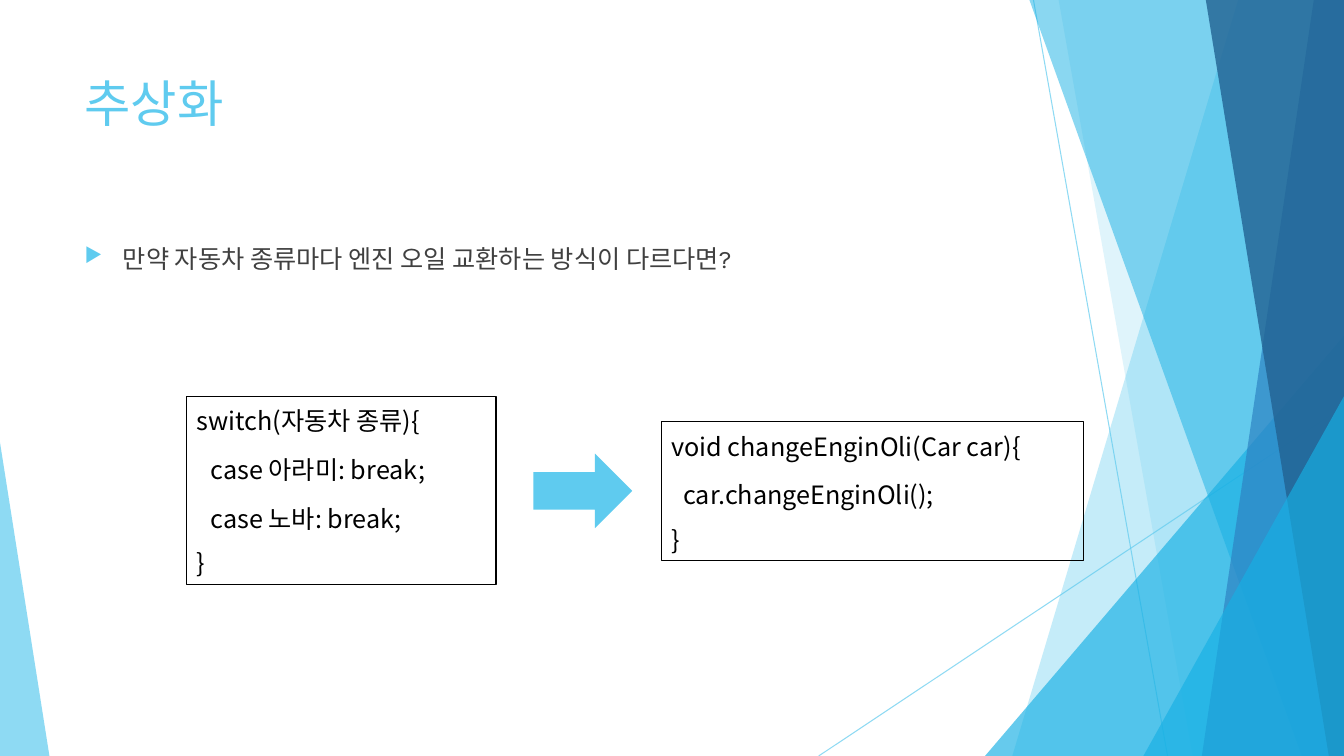
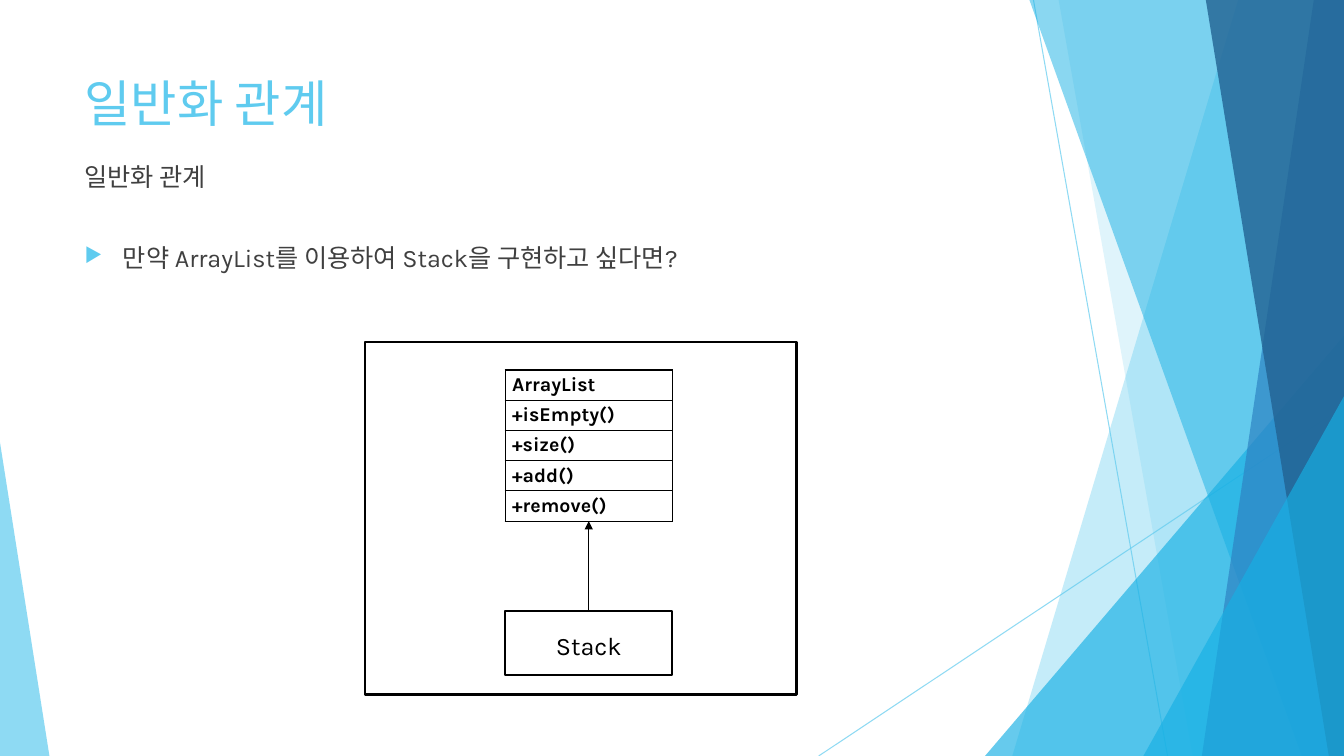
from dataclasses import dataclass

from lxml import etree
from pptx import Presentation
from pptx.dml.color import RGBColor
from pptx.enum import shapes, text
from pptx.oxml import ns
from pptx import util as u

PX = 9144
WIDTH, HEIGHT = 1333, 750
SHAPE = shapes.MSO_SHAPE
ALIGN = text.PP_ALIGN
ANCHOR = text.MSO_ANCHOR


@dataclass(frozen=True)
class Theme:
    sky: str = "5FCBEF"
    cyan: str = "17B0E4"
    blue: str = "2E83C3"
    navy: str = "226292"
    body_ink: str = "404040"
    black: str = "000000"
    white: str = "FFFFFF"
    font: str = "Karla"
    code_font: str = "Noto Sans CJK KR"
    title_size: int = 36
    body_size: int = 18
    table_size: int = 14


THEME = Theme()


def px(*lengths):
    return [u.Emu(length * PX) for length in lengths]


def add_xml(parent, tag, **attributes):
    return etree.SubElement(parent, ns.qn(tag), attributes)


class Deck:
    def __init__(self, theme):
        self.theme = theme
        self.show = Presentation()
        self.show.slide_width, self.show.slide_height = px(WIDTH, HEIGHT)
        self.slide = None

    def new_slide(self, title):
        self.slide = self.show.slides.add_slide(self.show.slide_layouts[6])
        self.backdrop()
        self.label(title, 67, 76, self.theme.title_size, self.theme.sky)

    def backdrop(self):
        t = self.theme
        self.line((1025, 0), (1158, HEIGHT), t.sky, 0.75, alpha=70)
        self.line((WIDTH, 403), (812, HEIGHT), t.sky, 0.75, alpha=70)
        self.facet(1228, 1004, t.sky, 36)
        self.facet(1050, 1183, t.sky, 20)
        self.corner(977, 333, 356, 1, t.cyan, 66)
        self.facet(1021, 1291, t.cyan, 50)
        self.facet(1303, 1192, t.blue, 70)
        self.facet(1196, 1318, t.navy, 80)
        self.corner(1134, 393, 199, 1, t.cyan, 66)
        self.corner(0, 439, 49, 0, t.sky, 70)

    def paint(self, shape, fill=None, border=None, alpha=None):
        shape.shadow.inherit = False
        if fill:
            shape.fill.solid()
            shape.fill.fore_color.rgb = RGBColor.from_string(fill)
            self.fade(shape.fill, alpha)
        else:
            shape.fill.background()
        if border:
            shape.line.color.rgb = RGBColor.from_string(self.theme.black)
            shape.line.width = u.Pt(border)
        else:
            shape.line.fill.background()
        return shape

    def fade(self, fill, alpha):
        if alpha:
            color = fill._xPr.find(".//" + ns.qn("a:srgbClr"))
            add_xml(color, "a:alpha", val=str(alpha * 1000))

    def facet(self, top_x, bottom_x, color, alpha):
        outline = self.slide.shapes.build_freeform(top_x, 0, scale=PX)
        outline.add_line_segments([(WIDTH, 0), (WIDTH, HEIGHT), (bottom_x, HEIGHT)])
        self.paint(outline.convert_to_shape(), color, alpha=alpha)

    def corner(self, left, top, width, peak, color, alpha):
        triangle = self.preset(SHAPE.ISOSCELES_TRIANGLE, left, top, width,
                               HEIGHT - top, color, alpha=alpha)
        triangle.adjustments[0] = peak

    def preset(self, kind, left, top, width, height, fill=None, border=None, alpha=None):
        shape = self.slide.shapes.add_shape(kind, *px(left, top, width, height))
        return self.paint(shape, fill, border, alpha)

    def line(self, start, end, color, weight, alpha=None, arrow=False):
        connector = self.slide.shapes.add_connector(
            shapes.MSO_CONNECTOR.STRAIGHT, *px(*start, *end))
        connector.line.color.rgb = RGBColor.from_string(color)
        connector.line.width = u.Pt(weight)
        self.fade(connector.line.fill, alpha)
        if arrow:
            add_xml(connector.line._ln, "a:tailEnd", type="triangle")
        add_xml(connector._element.spPr, "a:effectLst")
        return connector

    def style(self, paragraph, size, color, font=None, bold=None):
        paragraph.font.size = u.Pt(size)
        paragraph.font.name = font or self.theme.font
        paragraph.font.color.rgb = RGBColor.from_string(color)
        paragraph.font.bold = bold

    def label(self, words, top, height, size, color, bullet=False):
        box = self.slide.shapes.add_textbox(*px(74, top, 940, height))
        box.text_frame.word_wrap = True
        paragraph = box.text_frame.paragraphs[0]
        paragraph.text = words
        if bullet:
            self.bullet(paragraph)
        self.style(paragraph, size, color)
        return paragraph

    def bullet(self, paragraph):
        properties = paragraph._p.get_or_add_pPr()
        properties.set("marL", str(38 * PX))
        properties.set("indent", str(-38 * PX))
        add_xml(add_xml(properties, "a:buClr"), "a:srgbClr", val=self.theme.sky)
        add_xml(properties, "a:buSzPct", val="80000")
        add_xml(properties, "a:buChar", char="▶")

    def body(self, words, top, height, bullet=False):
        paragraph = self.label(words, top, height, self.theme.body_size,
                               self.theme.body_ink, bullet)
        paragraph.space_before = u.Pt(10)

    def code(self, lines, left, top, width, height, indent):
        box = self.preset(SHAPE.RECTANGLE, left, top, width, height, border=0.75)
        frame = box.text_frame
        frame.word_wrap = True
        frame.vertical_anchor = ANCHOR.TOP
        frame.auto_size = text.MSO_AUTO_SIZE.SHAPE_TO_FIT_TEXT
        frame.text = "\n".join(lines)
        *statements, closing = frame.paragraphs
        for paragraph in statements:
            paragraph.alignment = ALIGN.JUSTIFY
            paragraph.line_spacing = 1.15
            paragraph.space_after = u.Pt(10)
        closing.alignment = ALIGN.LEFT
        for paragraph in statements[1:]:
            paragraph._p.get_or_add_pPr().set("indent", str(indent * PX))
        for paragraph in frame.paragraphs:
            self.style(paragraph, self.theme.body_size, self.theme.black,
                       self.theme.code_font)

    def class_box(self, name, left, top, width, height):
        box = self.preset(SHAPE.RECTANGLE, left, top, width, height,
                          self.theme.white, 1.5)
        box.text_frame.vertical_anchor = ANCHOR.MIDDLE
        paragraph = box.text_frame.paragraphs[0]
        paragraph.text = name
        paragraph.alignment = ALIGN.CENTER
        paragraph.line_spacing = 1.15
        self.style(paragraph, self.theme.body_size, self.theme.black)
        return box

    def class_table(self, members, left, top, width, row_height):
        frame = self.slide.shapes.add_table(
            len(members), 1, *px(left, top, width, row_height * len(members)))
        table = frame.table
        table.first_row = table.horz_banding = False
        for row, member in enumerate(members):
            cell = table.cell(row, 0)
            cell.margin_left, cell.margin_top, cell.margin_right, cell.margin_bottom = px(7, 0, 7, 0)
            self.cell_borders(cell)
            cell.fill.solid()
            cell.fill.fore_color.rgb = RGBColor.from_string(self.theme.white)
            paragraph = cell.text_frame.paragraphs[0]
            paragraph.text = member
            paragraph.alignment = ALIGN.JUSTIFY
            paragraph.line_spacing = 1.15
            self.style(paragraph, self.theme.table_size, self.theme.black, bold=True)

    def cell_borders(self, cell):
        properties = cell._tc.get_or_add_tcPr()
        for side in "LRTB":
            edge = add_xml(properties, f"a:ln{side}", w=str(u.Pt(1)))
            add_xml(add_xml(edge, "a:solidFill"), "a:srgbClr", val=self.theme.black)


def abstraction(deck):
    deck.new_slide("추상화")
    deck.body("만약 자동차 종류마다 엔진 오일 교환하는 방식이 다르다면?", 236, 58, bullet=True)
    deck.code(["switch(자동차 종류){", "case 아라미: break;", "case 노바: break;", "}"],
              185, 393, 307, 187, indent=14)
    deck.preset(SHAPE.RIGHT_ARROW, 529, 450, 98, 74, deck.theme.sky)
    deck.code(["void changeEnginOli(Car car){", "car.changeEnginOli();", "}"],
              656, 418, 419, 138, indent=12)


def generalization(deck):
    members = ["ArrayList", "+isEmpty()", "+size()", "+add()", "+remove()"]
    left, top, width, row_height = 501, 367, 166, 30
    deck.new_slide("일반화 관계")
    deck.preset(SHAPE.RECTANGLE, 362, 339, 428, 350, border=1.5)
    deck.body("만약 ArrayList를 이용하여 Stack을 구현하고 싶다면?", 236, 66, bullet=True)
    deck.body("일반화 관계", 155, 68)
    deck.class_table(members, left, top, width, row_height)
    stack = deck.class_box("Stack", left, 606, width, 64)
    middle = left + width // 2
    inherits = deck.line((middle, 606), (middle, top + row_height * len(members)),
                         deck.theme.black, 1, arrow=True)
    inherits.begin_connect(stack, 0)


def main():
    deck = Deck(THEME)
    abstraction(deck)
    generalization(deck)
    deck.show.save("out.pptx")


if __name__ == "__main__":
    main()
